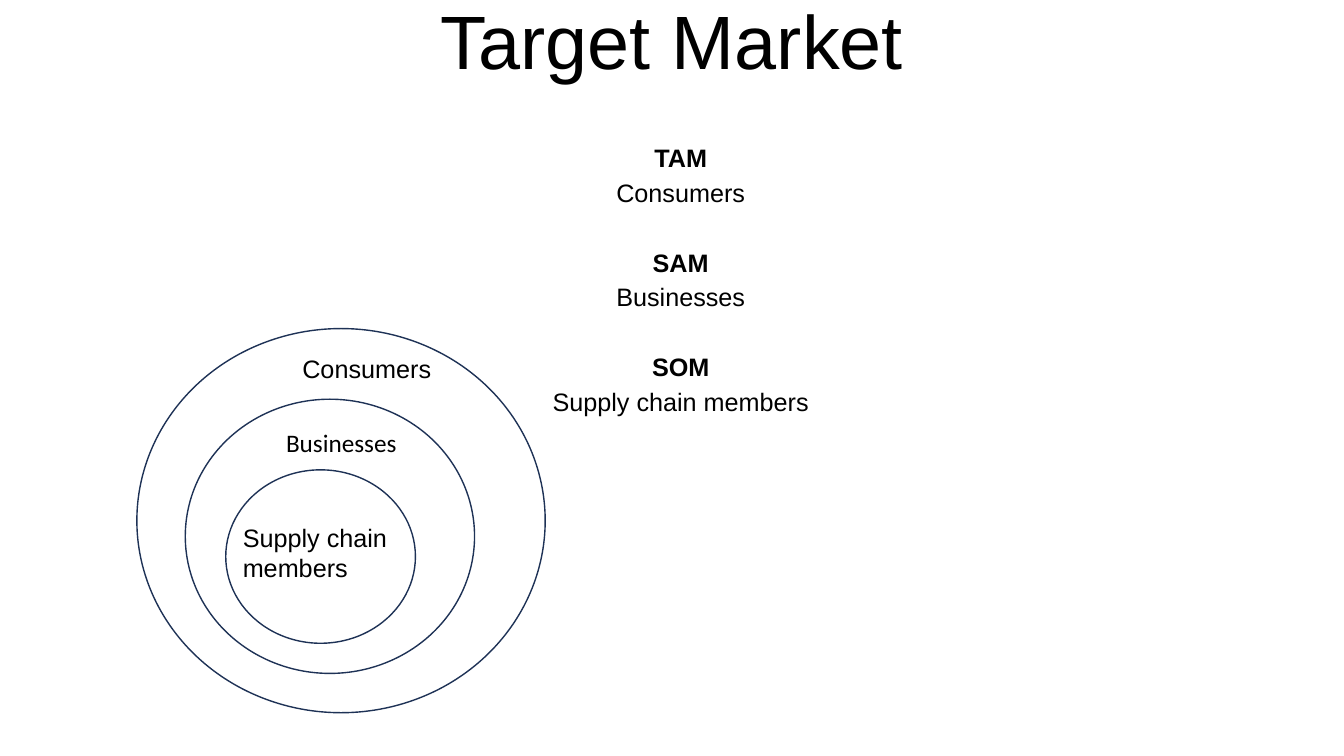
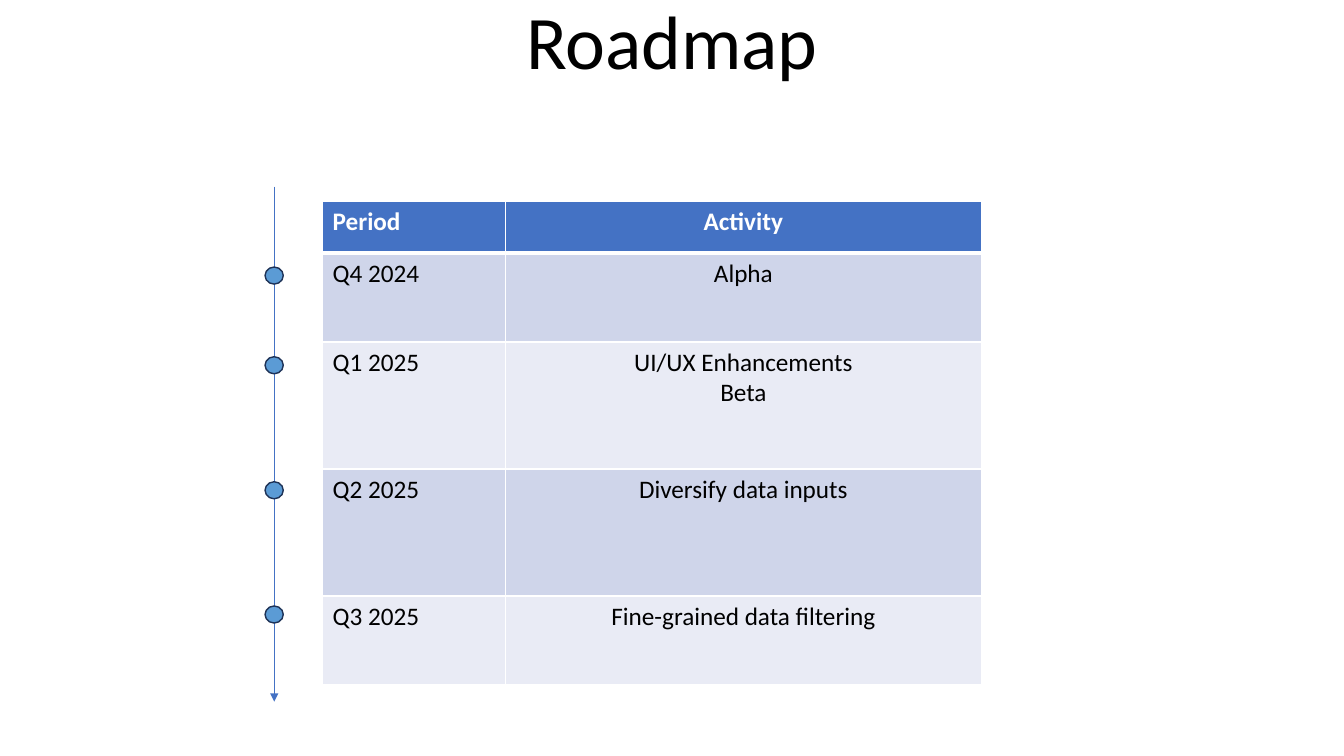
from lxml.etree import SubElement
from pptx import Presentation
from pptx.dml.color import RGBColor
from pptx.enum.shapes import MSO_CONNECTOR, MSO_SHAPE
from pptx.enum.text import MSO_ANCHOR, MSO_AUTO_SIZE, PP_ALIGN
from pptx.oxml.ns import qn
from pptx.util import Cm, Pt

BLACK = RGBColor(0x00, 0x00, 0x00)
WHITE = RGBColor(0xFF, 0xFF, 0xFF)
NAVY = RGBColor(0x1E, 0x32, 0x56)
BLUE = RGBColor(0x44, 0x72, 0xC4)
DOT_BLUE = RGBColor(0x5B, 0x9B, 0xD5)
BAND_DARK = RGBColor(0xCF, 0xD5, 0xEA)
BAND_LIGHT = RGBColor(0xE9, 0xEB, 0xF5)

SLIDE_WIDTH, SLIDE_HEIGHT = 33.87, 19.05
TITLE_SIZE, BODY_SIZE = 54, 18
TITLE_ONLY_LAYOUT = 5


class Deck:
    """Holds the shared style and the slide being filled; lengths are in cm."""

    def __init__(self):
        self.presentation = Presentation()
        self.presentation.slide_width = Cm(SLIDE_WIDTH)
        self.presentation.slide_height = Cm(SLIDE_HEIGHT)
        self.slide = None

    def add_slide(self, title, font):
        layout = self.presentation.slide_layouts[TITLE_ONLY_LAYOUT]
        self.slide = self.presentation.slides.add_slide(layout)
        placeholder = self.slide.shapes.title
        placeholder.left, placeholder.top = Cm(0), Cm(0)
        placeholder.width, placeholder.height = Cm(SLIDE_WIDTH), Cm(2.29)
        frame = placeholder.text_frame
        frame.word_wrap = True
        frame.auto_size = MSO_AUTO_SIZE.NONE
        frame.vertical_anchor = MSO_ANCHOR.BOTTOM
        paragraph = frame.paragraphs[0]
        paragraph.alignment = PP_ALIGN.CENTER
        paragraph.line_spacing = 0.9
        self.add_run(paragraph, title, font, size=TITLE_SIZE)

    def add_run(self, paragraph, text, font, size=BODY_SIZE, color=BLACK, bold=False):
        run = paragraph.add_run()
        run.text = text
        run.font.name = font
        run.font.size = Pt(size)
        run.font.color.rgb = color
        run.font.bold = bold

    def add_text_frame(self, left, top, width, height):
        box = self.slide.shapes.add_textbox(Cm(left), Cm(top), Cm(width), Cm(height))
        box.text_frame.word_wrap = True
        return box.text_frame

    def add_label(self, text, font, left, top, width, height):
        frame = self.add_text_frame(left, top, width, height)
        self.add_run(frame.paragraphs[0], text, font)

    def add_definitions(self, definitions, font, top):
        """Centre each bold term above its meaning, with a line's gap between pairs."""
        frame = self.add_text_frame(0, top, SLIDE_WIDTH, SLIDE_HEIGHT - top)
        frame.margin_left = Cm(0.69)
        lines = [line for pair in definitions for line in pair]
        for index, line in enumerate(lines):
            is_term = index % 2 == 0
            paragraph = frame.add_paragraph() if index else frame.paragraphs[0]
            paragraph.alignment = PP_ALIGN.CENTER
            paragraph.line_spacing = 1.15
            if index and is_term:
                paragraph.space_before = Pt(25)
            self.add_run(paragraph, line, font, bold=is_term)

    def add_ellipse(self, left, top, width, height, fill=None):
        shape = self.slide.shapes.add_shape(
            MSO_SHAPE.OVAL, Cm(left), Cm(top), Cm(width), Cm(height))
        shape.shadow.inherit = False
        if fill is None:
            shape.fill.background()
        else:
            shape.fill.solid()
            shape.fill.fore_color.rgb = fill
        shape.line.color.rgb = NAVY
        shape.line.width = Pt(1)

    def add_down_arrow(self, x, top, bottom):
        connector = self.slide.shapes.add_connector(
            MSO_CONNECTOR.STRAIGHT, Cm(x), Cm(top), Cm(x), Cm(bottom))
        connector.line.color.rgb = BLUE
        connector.line.width = Pt(0.5)
        properties = connector._element.spPr
        SubElement(properties.find(qn("a:ln")), qn("a:tailEnd"), type="triangle")
        SubElement(properties, qn("a:effectLst"))

    def add_table(self, rows, font, left, top, widths, heights):
        table = self.slide.shapes.add_table(
            len(rows), len(widths), Cm(left), Cm(top),
            Cm(sum(widths)), Cm(sum(heights))).table
        table.horz_banding = False
        for column, width in zip(table.columns, widths):
            column.width = Cm(width)
        for row, height in zip(table.rows, heights):
            row.height = Cm(height)
        for row_index, row in enumerate(rows):
            is_header = row_index == 0
            band = BAND_DARK if row_index % 2 else BAND_LIGHT
            for column_index, text in enumerate(row):
                cell = table.cell(row_index, column_index)
                self.set_borders(cell, top=3 if row_index == 1 else 1,
                                 bottom=3 if is_header else 1)
                cell.fill.solid()
                cell.fill.fore_color.rgb = BLUE if is_header else band
                frame = cell.text_frame
                for line_index, line in enumerate(text.split("\n")):
                    paragraph = frame.add_paragraph() if line_index else frame.paragraphs[0]
                    paragraph.alignment = PP_ALIGN.CENTER if column_index else PP_ALIGN.LEFT
                    self.add_run(paragraph, line, font, bold=is_header,
                                 color=WHITE if is_header else BLACK)

    def set_borders(self, cell, top, bottom):
        """Draw white cell borders; top and bottom are widths in points."""
        properties = cell._tc.get_or_add_tcPr()
        for side, width in (("L", 1), ("R", 1), ("T", top), ("B", bottom)):
            line = SubElement(properties, qn(f"a:ln{side}"), w=str(Pt(width)))
            fill = SubElement(line, qn("a:solidFill"))
            SubElement(fill, qn("a:srgbClr"), val=str(WHITE))


def add_target_market(deck):
    deck.add_slide("Target Market", "Arial")
    deck.add_definitions(
        [("TAM", "Consumers"), ("SAM", "Businesses"), ("SOM", "Supply chain members")],
        "Arial", top=3.35)
    first_top, top_step = 8.28, 1.78
    circles = [(3.45, 10.29, 9.68), (4.67, 7.29, 6.91), (5.69, 4.78, 4.37)]
    for index, (left, width, height) in enumerate(circles):
        deck.add_ellipse(left, first_top + index * top_step, width, height)
    deck.add_label("Consumers", "Arial", 7.37, 8.79, 4.62, 1.02)
    deck.add_label("Supply chain members", "Arial", 5.87, 13.03, 5.87, 2.57)
    deck.add_label("Businesses", "Calibri", 6.96, 10.64, 4.62, 1.02)


def add_roadmap(deck):
    deck.add_slide("Roadmap", "Calibri")
    rows = [
        ("Period", "Activity"),
        ("Q4 2024", "Alpha"),
        ("Q1 2025", "UI/UX Enhancements\nBeta"),
        ("Q2 2025", "Diversify data inputs"),
        ("Q3 2025", "Fine-grained data filtering"),
    ]
    deck.add_table(rows, "Calibri", 8.13, 5.08, widths=(4.6, 12.01),
                   heights=(1.3, 2.24, 3.2, 3.2, 2.24))
    timeline_x, dot_width, dot_height = 6.91, 0.46, 0.43
    deck.add_down_arrow(timeline_x, 4.7, 17.68)
    for dot_top in (6.73, 8.99, 12.14, 15.27):
        deck.add_ellipse(timeline_x - dot_width / 2, dot_top, dot_width, dot_height, DOT_BLUE)


def main():
    deck = Deck()
    add_target_market(deck)
    add_roadmap(deck)
    deck.presentation.save("out.pptx")


if __name__ == "__main__":
    main()
